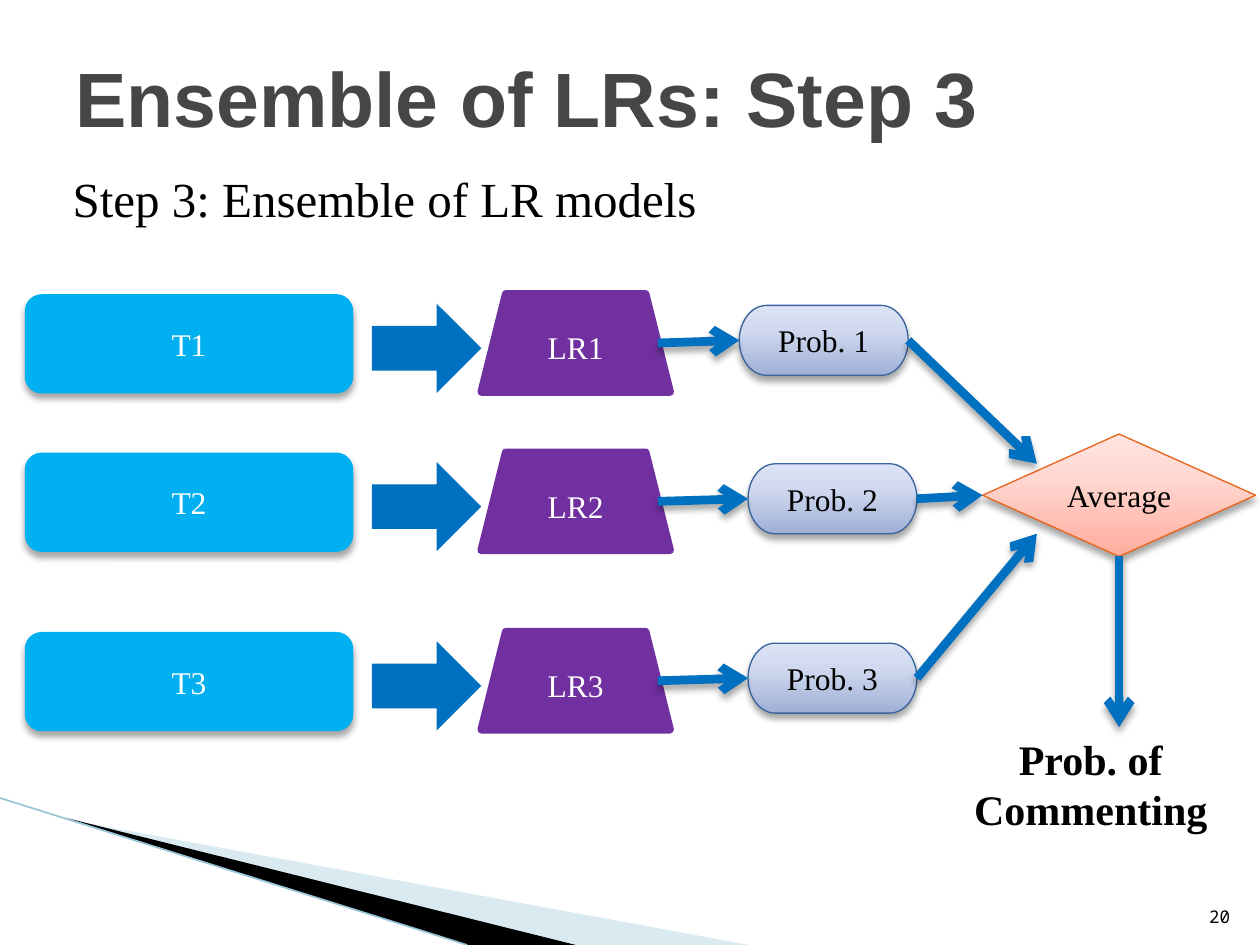
from copy import deepcopy

from lxml.etree import SubElement
from pptx import Presentation
from pptx.dml.color import RGBColor
from pptx.enum.shapes import MSO_CONNECTOR, MSO_SHAPE
from pptx.enum.text import MSO_ANCHOR, PP_ALIGN
from pptx.oxml.ns import qn
from pptx.util import Pt

COLORS = {
    "black": "000000",
    "white": "FFFFFF",
    "title": "464646",
    "training": "00B0F0",
    "arrow": "0070C0",
    "model": "7030A0",
    "prob_line": "39639D",
    "average_line": "EB641B",
    "pale_wedge": "A0CBDC",
    "wedge_line": "97C5D8",
}
PROB_STOPS = [(0, "9FAFD6"), (0.65, "D0D9EF"), (1, "DCE3F6")]
AVERAGE_STOPS = [(0, "FFAC9C"), (0.65, "FFD8D2"), (1, "FFE4DF")]
TOP, LEFT, BOTTOM, RIGHT = range(4)


def rgb(name):
    return RGBColor.from_string(COLORS[name])


class SlideBuilder:
    body_font = "Times New Roman"

    def __init__(self, slide):
        self.slide = slide

    def set_text(self, frame, text, size, color, font=None, bold=False,
                 align=PP_ALIGN.LEFT, anchor=MSO_ANCHOR.TOP):
        frame.word_wrap = True
        frame.vertical_anchor = anchor
        paragraph = frame.paragraphs[0]
        paragraph.text = text
        paragraph.alignment = align
        paragraph.font.size = Pt(size)
        paragraph.font.name = font or self.body_font
        paragraph.font.bold = bold
        paragraph.font.color.rgb = rgb(color)

    def text(self, box, text, size, color="black", **style):
        textbox = self.slide.shapes.add_textbox(*map(Pt, box))
        self.set_text(textbox.text_frame, text, size, color, **style)

    def shape(self, kind, box, fill, line=None, line_width=0.75, text=None,
              text_color="white", shadow=False):
        """Add a preset shape; fill is a colour name or a list of gradient stops."""
        shape = self.slide.shapes.add_shape(kind, *map(Pt, box))
        if isinstance(fill, str):
            shape.fill.solid()
            shape.fill.fore_color.rgb = rgb(fill)
        else:
            self.gradient(shape, fill)
        if line:
            shape.line.color.rgb = rgb(line)
            shape.line.width = Pt(line_width)
        else:
            shape.line.fill.background()
        shape.shadow.inherit = False
        if shadow:
            self.drop_shadow(shape._element.spPr.find(qn("a:effectLst")))
        if text:
            self.set_text(shape.text_frame, text, 18, text_color,
                          align=PP_ALIGN.CENTER, anchor=MSO_ANCHOR.MIDDLE)
        return shape

    def gradient(self, shape, stops):
        """Fill from bottom to top with three stops."""
        shape.fill.gradient()
        shape.fill.gradient_angle = 90
        stop_list = shape._element.spPr.find(qn("a:gradFill")).find(qn("a:gsLst"))
        stop_list.append(deepcopy(stop_list[-1]))
        for stop, (position, color) in zip(shape.fill.gradient_stops, stops):
            stop.position = position
            stop.color.rgb = RGBColor.from_string(color)

    def drop_shadow(self, effects):
        shadow = SubElement(effects, qn("a:outerShdw"), blurRad=str(Pt(4)),
                            dist=str(Pt(3)), dir="5400000", rotWithShape="0")
        color = SubElement(shadow, qn("a:srgbClr"), val=COLORS["black"])
        SubElement(color, qn("a:alpha"), val="35000")

    def line(self, start, end, color, width):
        connector = self.slide.shapes.add_connector(
            MSO_CONNECTOR.STRAIGHT, *map(Pt, start + end))
        connector.line.color.rgb = rgb(color)
        connector.line.width = Pt(width)
        SubElement(connector._element.spPr, qn("a:effectLst"))
        return connector

    def arrow(self, start=(0, 0), end=(0, 0), source=None, target=None):
        """Draw an arrow; source and target are (shape, side) and override points."""
        connector = self.line(start, end, "arrow", 5)
        if source:
            connector.begin_connect(*source)
        if target:
            connector.end_connect(*target)
        properties = connector._element.spPr
        SubElement(properties.find(qn("a:ln")), qn("a:tailEnd"), type="arrow")
        self.drop_shadow(properties.find(qn("a:effectLst")))

    def wedge(self, points, color, opacity=100):
        start, *rest = [(Pt(x), Pt(y)) for x, y in points]
        builder = self.slide.shapes.build_freeform(*start)
        builder.add_line_segments(rest, close=True)
        wedge = builder.convert_to_shape()
        wedge.fill.solid()
        wedge.fill.fore_color.rgb = rgb(color)
        wedge.line.fill.background()
        wedge.shadow.inherit = False
        if opacity < 100:
            fill = wedge._element.spPr.find(qn("a:solidFill"))
            SubElement(fill[0], qn("a:alpha"), val=str(opacity * 1000))


def main():
    presentation = Presentation()
    presentation.slide_width, presentation.slide_height = Pt(720), Pt(540)
    builder = SlideBuilder(
        presentation.slides.add_slide(presentation.slide_layouts[6]))

    builder.wedge([(39.5, 468.5), (428, 540), (328, 540)], "pale_wedge", opacity=40)
    builder.wedge([(38, 467.5), (329, 540), (267, 540)], "black")
    builder.line((0, 456), (267, 540), "wedge_line", 0.95)

    builder.text((681, 504.5, 29, 29), "20", 10, font="Noto Sans Mono",
                 align=PP_ALIGN.RIGHT, anchor=MSO_ANCHOR.BOTTOM)
    builder.text((36, 21.6, 648, 67), "Ensemble of LRs: Step 3", 44, "title",
                 font="Arial", bold=True, anchor=MSO_ANCHOR.MIDDLE)
    builder.text((34.5, 93, 498, 41), "Step 3: Ensemble of LR models", 28)
    builder.text((518.5, 415.5, 209.5, 65.5), "Prob. of Commenting", 24,
                 bold=True, align=PP_ALIGN.CENTER)

    average = builder.shape(
        MSO_SHAPE.FLOWCHART_DECISION, (561.5, 248, 156, 70), AVERAGE_STOPS,
        "average_line", text="Average", text_color="black", shadow=True)

    # Each row: top, left of its probability, where its arrow meets the average
    rows = [
        (168.5, 422.5, {"end": (592.5, 265)}),
        (259, 427.5, {"target": (average, LEFT)}),
        (361.5, 427.5, {"end": (592.5, 305)}),
    ]
    for number, (top, prob_left, meeting) in enumerate(rows, start=1):
        builder.shape(MSO_SHAPE.ROUNDED_RECTANGLE, (14.5, top, 187, 56),
                      "training", "training", text=f"T{number}", shadow=True)
        builder.shape(MSO_SHAPE.RIGHT_ARROW, (212.5, top + 5, 62.5, 51), "arrow")
        builder.shape(MSO_SHAPE.TRAPEZOID, (275, top - 0.5, 108, 56),
                      "model", "model", 4.33, text=f"LR{number}")
        prob = builder.shape(
            MSO_SHAPE.FLOWCHART_TERMINATOR, (prob_left, top + 6, 96.5, 40),
            PROB_STOPS, "prob_line", text=f"Prob. {number}",
            text_color="black", shadow=True)
        builder.arrow(start=(376, top + 27.5), target=(prob, LEFT))
        builder.arrow(source=(prob, RIGHT), **meeting)
    builder.arrow(source=(average, BOTTOM), end=(639.5, 415.5))

    presentation.save("out.pptx")


if __name__ == "__main__":
    main()
